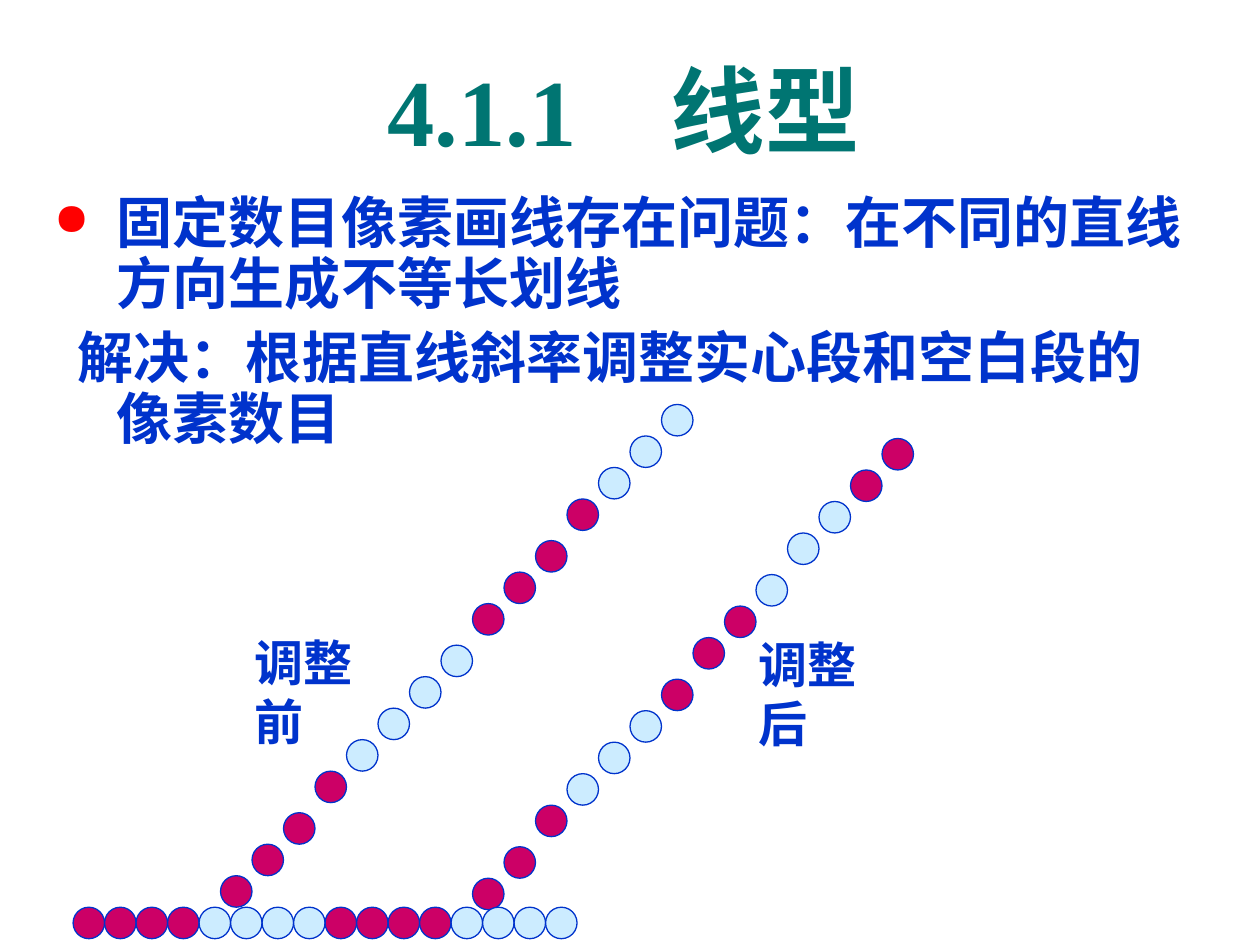
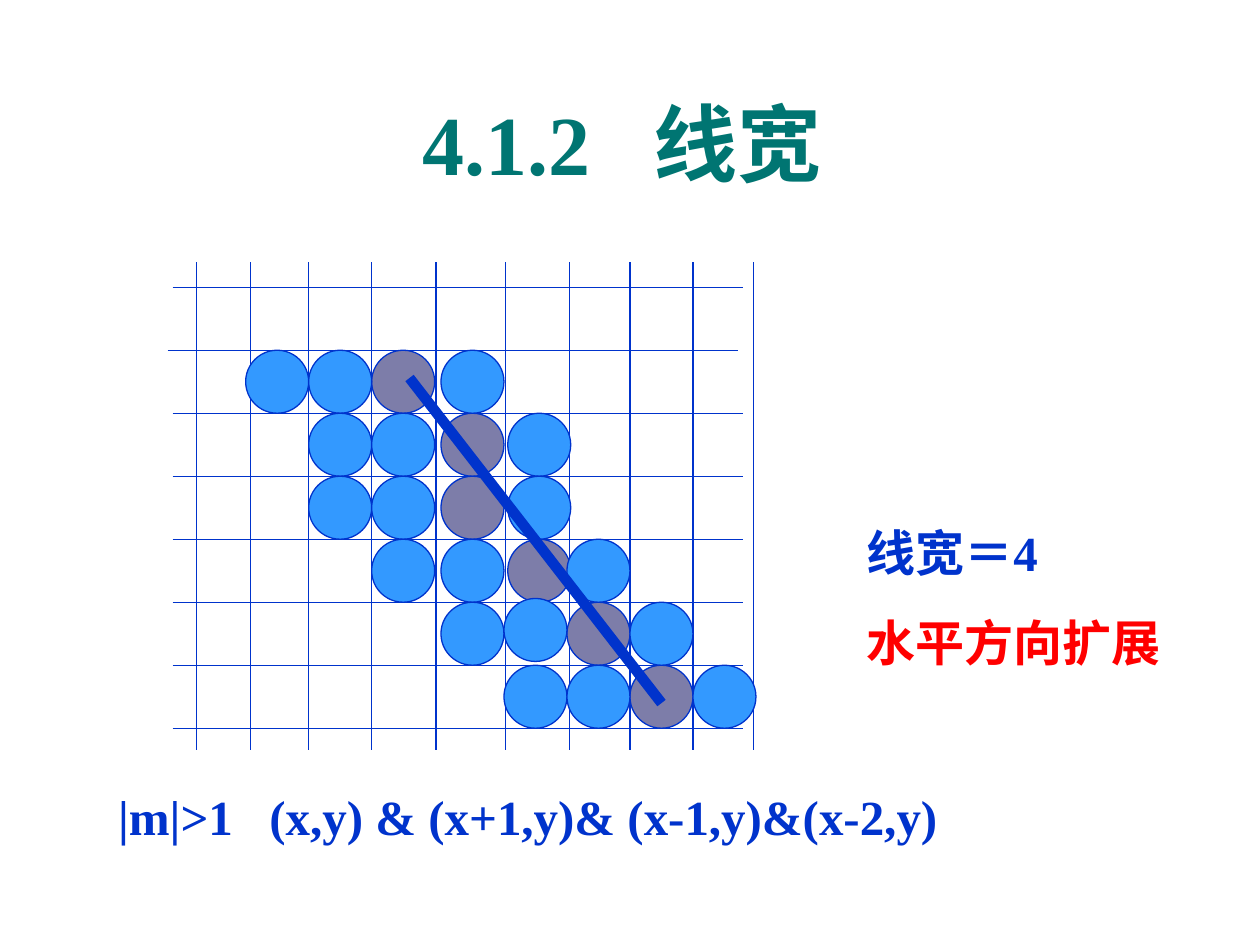
import pptx
import pptx.dml.color
import pptx.enum.shapes
import pptx.enum.text
import pptx.oxml
import pptx.oxml.ns
import pptx.util
from lxml import etree

Inches, Pt = pptx.util.Inches, pptx.util.Pt
TEXT, SHAPES = pptx.enum.text, pptx.enum.shapes


class Theme:
    teal, blue, red = "007572", "0033CC", "FF0000"
    solid, blank = "CC0066", "CCECFF"
    core, wide = "7D7DA9", "3399FF"
    serif, sans, label = "Times New Roman", "Noto Sans CJK SC", "Lato"
    body, note = 32, 28
    thin, thick = 0.75, 6


# Number, name, size, size of the gap between them, place
TITLES = [
    ("4.1.1", "线型", 54, 54, (2.16, 0.36, 5.58, 1)),
    ("4.1.2", "线宽", 48, 36, (0.27, 0.68, 9.34, 0.9)),
]

# Text, first-line indent, has a bullet
POINTS = [
    ("固定数目像素画线存在问题：在不同的直线方向生成不等长划线", -0.5, True),
    ("解决：根据直线斜率调整实心段和空白段的像素数目", -0.31, False),
]
LABELS = [("调整前", (1.92, 4.97, 1.36, 0.57)), ("调整后", (5.92, 4.99, 1.36, 0.57))]

# Dots (# solid, - blank), start, rise per dot, dots that rise a bit more
DASHES = [
    ("###---####---##"[:6] + "###---##", (3.75, 6.97), 0.25, (2, 7, 10)),
    ("####----####----", (0.58, 7.2), 0, ()),
    ("####----####---", (1.75, 6.95), 0.25, (3, 8, 11)),
]
DOT, EXTRA = 0.25, 0.08

# Grid of the wide line: each row has four dots, the third lies on the line
UPRIGHTS = [1.56, 1.99, 2.45, 2.95, 3.46, 4.01, 4.52, 5, 5.5, 5.98]
LEVELS = [2.28 + 0.5 * i for i in range(8)]
COLUMNS = [1.95, 2.45, 2.95, 3.5, 4.03, 4.5, 5, 5.5]
STARTS = [0, 1, 1, 2, 3, 4]
NUDGES = {(4, 4): (-0.03, -0.03), (5, 4): (-0.03, 0)}
LINE = ((3.25, 3), (5.25, 5.58))
PIXEL = 0.5

RULE = "|m|>1\t(x,y) & (x+1,y)& (x-1,y)&(x-2,y)"
NOTES = [("线宽＝4", Theme.blue), ("水平方向扩展", Theme.red)]


def rgb(code):
    return pptx.dml.color.RGBColor.from_string(code)


def style(font, size, name, color):
    for key, value in dict(size=Pt(size), name=name, bold=True).items():
        setattr(font, key, value)
    font.color.rgb = rgb(color)


def extend(para, *parts):
    """Append bullet or tab elements to the paragraph properties."""
    props = para._p.get_or_add_pPr()
    for part in parts:
        props.append(pptx.oxml.parse_xml(
            part.replace("/>", f" {pptx.oxml.ns.nsdecls('a')}/>", 1)
            if part.count("<") == 1
            else part.replace(">", f" {pptx.oxml.ns.nsdecls('a')}>", 1)))
    return props


def start(deck, title):
    number, name, size, gap, place = title
    slide = deck.slides.add_slide(deck.slide_layouts[5])
    head = slide.shapes.title
    for key, value in zip(("left", "top", "width", "height"), place):
        setattr(head, key, Inches(value))
    frame = head.text_frame
    frame.auto_size = TEXT.MSO_AUTO_SIZE.NONE
    frame.vertical_anchor = TEXT.MSO_ANCHOR.MIDDLE
    para = frame.paragraphs[0]
    para.alignment = TEXT.PP_ALIGN.CENTER
    for text, points in ((number, size), ("　", gap), (name, size)):
        run = para.add_run()
        run.text = text
        style(run.font, points, Theme.serif, Theme.teal)
    return slide


def box(slide, place, lines, size, name, wrap=False, before=17.5):
    """Add a text box of (text, colour) lines and return its paragraphs."""
    frame = slide.shapes.add_textbox(*map(Inches, place)).text_frame
    frame.word_wrap = wrap
    for i, (text, color) in enumerate(lines):
        para = frame.add_paragraph() if i else frame.paragraphs[0]
        run = para.add_run()
        run.text = text
        style(run.font, size, name, color)
        if i:
            para.space_before = Pt(before)
    return frame.paragraphs


def dot(slide, x, y, size, color):
    oval = slide.shapes.add_shape(
        SHAPES.MSO_SHAPE.OVAL, *map(Inches, (x, y, size, size)))
    oval.shadow.inherit = False
    oval.fill.solid()
    oval.fill.fore_color.rgb = rgb(color)
    oval.line.color.rgb = rgb(Theme.blue)
    oval.line.width = Pt(Theme.thin)


def rule(slide, begin, end, width=Theme.thin):
    line = slide.shapes.add_connector(
        SHAPES.MSO_CONNECTOR.STRAIGHT, *map(Inches, (*begin, *end)))
    line.line.color.rgb = rgb(Theme.blue)
    line.line.width = Pt(width)
    etree.SubElement(line._element.spPr, pptx.oxml.ns.qn("a:effectLst"))


def dashes(deck):
    slide = start(deck, TITLES[0])
    lines = [(text, Theme.blue) for text, _, _ in POINTS]
    paras = box(slide, (0.33, 1.5, 9.25, 2.35), lines,
                Theme.body, Theme.sans, wrap=True, before=8)
    for para, (_, indent, bullet) in zip(paras, POINTS):
        marks = (f'<a:buClr><a:srgbClr val="{Theme.red}"/></a:buClr>',
                 '<a:buSzPct val="80000"/>',
                 '<a:buChar char="●"/>') if bullet else ('<a:buNone/>',)
        props = extend(para, *marks)
        props.set("marL", str(Inches(0.5)))
        props.set("indent", str(Inches(indent)))
        para.line_spacing = 0.9
    for marks, (x, y), rise, jumps in DASHES:
        for i, mark in enumerate(marks):
            if i:
                y -= rise + EXTRA * (i in jumps)
            color = Theme.solid if mark == "#" else Theme.blank
            dot(slide, x + i * DOT, y, DOT, color)
    for text, place in LABELS:
        box(slide, place, [(text, Theme.blue)], Theme.note, Theme.label)


def width(deck):
    slide = start(deck, TITLES[1])
    para = box(slide, (0.84, 6.19, 6.7, 0.57), [(RULE, Theme.blue)],
               Theme.note, Theme.serif)[0]
    extend(para, f'<a:tabLst><a:tab pos="{Inches(1.2)}" algn="l"/></a:tabLst>')
    box(slide, (6.78, 4.1, 2.53, 1.28), NOTES, Theme.note, Theme.serif)
    for x in UPRIGHTS:
        rule(slide, (x, 2.08), (x, 5.95))
    for i, y in enumerate(LEVELS):
        shift = -0.04 if i == 1 else 0
        rule(slide, (1.37 + shift, y), (5.9 + shift, y))
    for color, spots in ((Theme.core, (2,)), (Theme.wide, (0, 1, 3))):
        for row, first in enumerate(STARTS):
            for spot in spots:
                col = first + spot
                dx, dy = NUDGES.get((row, col), (0, 0))
                dot(slide, COLUMNS[col] + dx, LEVELS[row + 1] + dy, PIXEL, color)
    rule(slide, *LINE, Theme.thick)


def main():
    deck = pptx.Presentation()
    deck.slide_width, deck.slide_height = Inches(10), Inches(7.5)
    dashes(deck)
    width(deck)
    deck.save("out.pptx")


if __name__ == "__main__":
    main()
